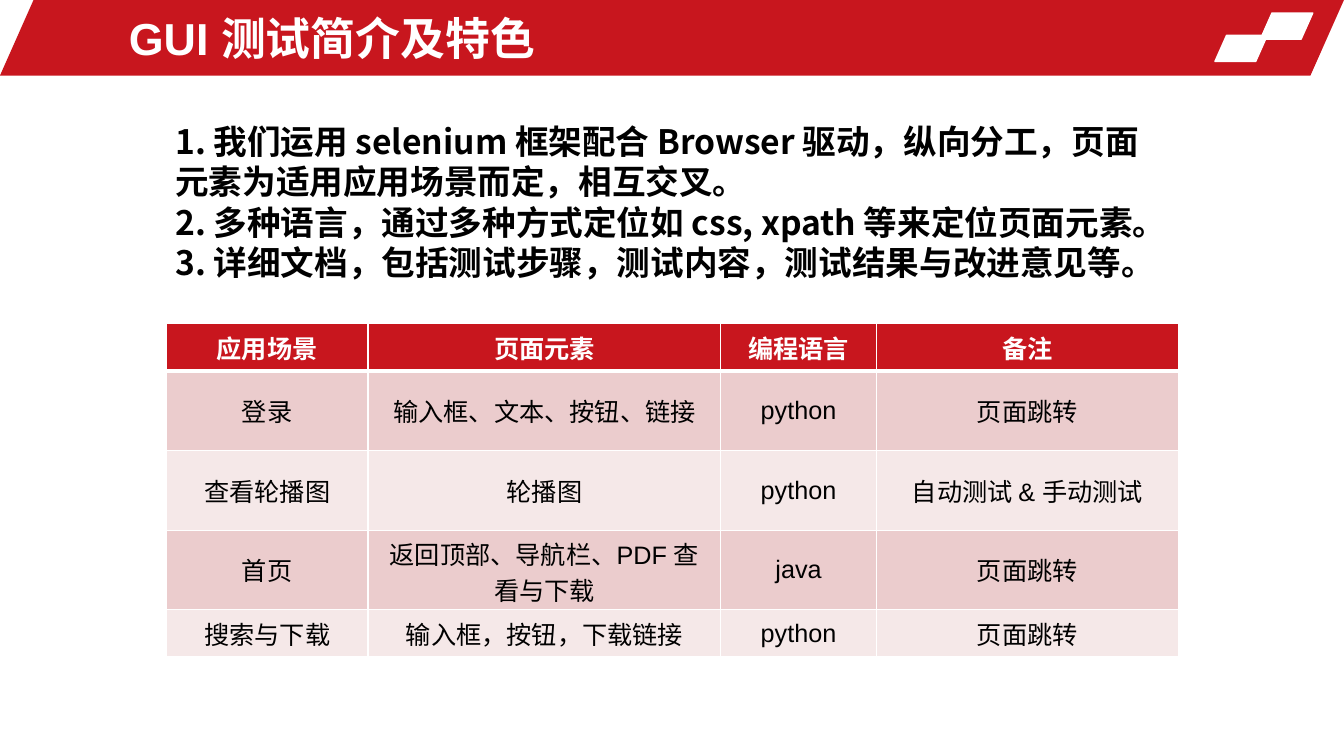
import dataclasses

import lxml.etree
import pptx
import pptx.dml.color
import pptx.enum.shapes
import pptx.enum.text
import pptx.oxml.ns
import pptx.util

Inches = pptx.util.Inches
Pt = pptx.util.Pt
qn = pptx.oxml.ns.qn
Align = pptx.enum.text.PP_ALIGN
Anchor = pptx.enum.text.MSO_ANCHOR


@dataclasses.dataclass(frozen=True)
class Theme:
    """Colours, fonts and type sizes of the slide."""
    red: str = "C8161E"
    white: str = "FFFFFF"
    black: str = "000000"
    bands: tuple = ("EBCCCD", "F5E8E8")
    latin: str = "Arial"
    chinese: str = "Noto Sans CJK SC"
    title_size: int = 32
    point_size: int = 24
    point_pitch: float = 28.8
    cell_size: int = 18


THEME = Theme()

TITLE = "GUI 测试简介及特色"
POINTS = (
    "1. 我们运用 selenium 框架配合 Browser 驱动，纵向分工，页面元素为适用应用场景而定，相互交叉。",
    "2. 多种语言，通过多种方式定位如 css, xpath 等来定位页面元素。",
    "3. 详细文档，包括测试步骤，测试内容，测试结果与改进意见等。",
)
SCENARIOS = (
    ("应用场景", "页面元素", "编程语言", "备注"),
    ("登录", "输入框、文本、按钮、链接", "python", "页面跳转"),
    ("查看轮播图", "轮播图", "python", "自动测试 & 手动测试"),
    ("首页", "返回顶部、导航栏、PDF 查看与下载", "java", "页面跳转"),
    ("搜索与下载", "输入框，按钮，下载链接", "python", "页面跳转"),
)
COLUMN_WIDTHS = (2, 3.5, 1.54, 3)
ROW_HEIGHTS = (0.47, 0.79, 0.79, 0.79, 0.47)


def rgb(value):
    """Return the colour for a hex value."""
    return pptx.dml.color.RGBColor.from_string(value)


def write(frame, *lines, size, color=THEME.black, bold=False, font=THEME.latin,
          align=Align.LEFT, pitch=None):
    """Write each line as one formatted paragraph of the text frame."""
    for index, line in enumerate(lines):
        paragraph = frame.add_paragraph() if index else frame.paragraphs[0]
        paragraph.alignment = align
        if pitch:
            paragraph.line_spacing = Pt(pitch)
        run = paragraph.add_run()
        run.text = line
        run.font.name = font
        run.font.size = Pt(size)
        run.font.bold = bold
        run.font.color.rgb = rgb(color)
        east_asian = lxml.etree.Element(qn("a:ea"), typeface=THEME.chinese)
        run.font._element.find(qn("a:latin")).addnext(east_asian)


def add_text(slide, left, top, width, height, *lines, anchor=Anchor.TOP, **style):
    """Add a wrapping text box."""
    frame = slide.shapes.add_textbox(
        Inches(left), Inches(top), Inches(width), Inches(height)).text_frame
    frame.word_wrap = True
    frame.vertical_anchor = anchor
    write(frame, *lines, **style)


def add_slant(slide, left, top, width, height, color, outlined=False):
    """Add a flat parallelogram."""
    slant = slide.shapes.add_shape(
        pptx.enum.shapes.MSO_SHAPE.PARALLELOGRAM,
        Inches(left), Inches(top), Inches(width), Inches(height))
    slant.shadow.inherit = False
    slant.adjustments[0] = 0.444
    slant.fill.solid()
    slant.fill.fore_color.rgb = rgb(color)
    if outlined:
        slant.line.color.rgb = rgb(color)
        slant.line.width = Pt(1)
    else:
        slant.line.fill.background()


def add_borders(cell, **widths):
    """Give the cell white borders of the given widths in points."""
    properties = cell._tc.get_or_add_tcPr()
    for index, (side, width) in enumerate(widths.items()):
        border = lxml.etree.Element(qn(f"a:ln{side}"), w=str(Pt(width)))
        fill = lxml.etree.SubElement(border, qn("a:solidFill"))
        lxml.etree.SubElement(fill, qn("a:srgbClr"), val=THEME.white)
        properties.insert(index, border)


def add_scenarios(slide, left, top):
    """Add the banded table of test scenarios."""
    table = slide.shapes.add_table(
        len(ROW_HEIGHTS), len(COLUMN_WIDTHS), Inches(left), Inches(top),
        Inches(sum(COLUMN_WIDTHS)), Inches(sum(ROW_HEIGHTS))).table
    for column, width in zip(table.columns, COLUMN_WIDTHS):
        column.width = Inches(width)
    for index, (row, height) in enumerate(zip(table.rows, ROW_HEIGHTS)):
        row.height = Inches(height)
        heading = index == 0
        background = THEME.red if heading else THEME.bands[(index - 1) % 2]
        for cell, content in zip(row.cells, SCENARIOS[index]):
            cell.vertical_anchor = Anchor.MIDDLE
            cell.fill.solid()
            cell.fill.fore_color.rgb = rgb(background)
            add_borders(cell, L=1, R=1, T=3 if index == 1 else 1, B=3 if heading else 1)
            write(cell.text_frame, content, size=THEME.cell_size, bold=heading,
                  color=THEME.white if heading else THEME.black, align=Align.CENTER)


def main():
    """Build and save the slide."""
    deck = pptx.Presentation()
    deck.slide_width = Inches(13.33)
    deck.slide_height = Inches(7.5)
    slide = deck.slides.add_slide(deck.slide_layouts[6])
    add_slant(slide, 0, 0, 13.33, 0.75, THEME.red)
    for left, top in ((12.5, 0.13), (12.05, 0.35)):
        add_slant(slide, left, top, 0.52, 0.26, THEME.white, outlined=True)
    add_text(slide, 1.18, 0.05, 7.74, 0.65, TITLE, anchor=Anchor.MIDDLE,
             size=THEME.title_size, color=THEME.white, bold=True)
    add_scenarios(slide, 1.65, 3.21)
    add_text(slide, 1.64, 1.15, 10.04, 1.72, *POINTS, size=THEME.point_size,
             bold=True, font=THEME.chinese, pitch=THEME.point_pitch)
    deck.save("out.pptx")


if __name__ == "__main__":
    main()
